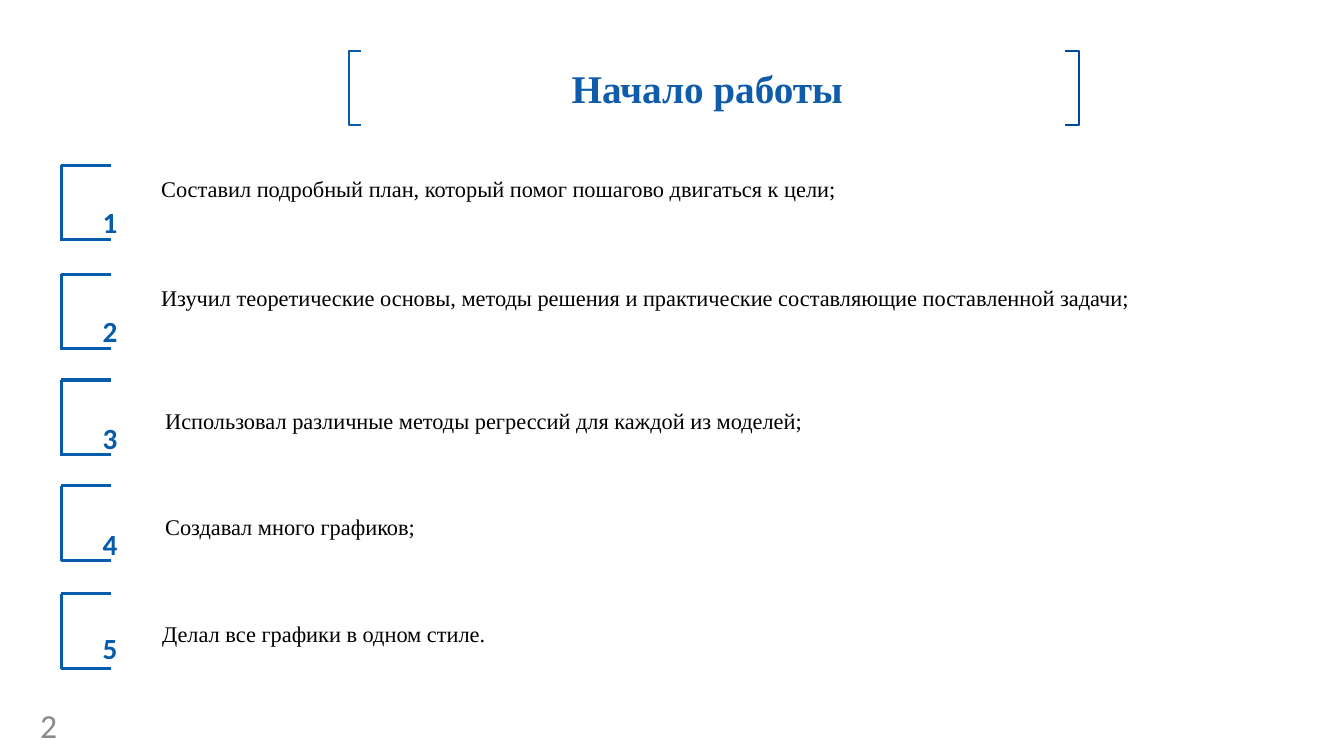
from dataclasses import dataclass

from lxml import etree
from pptx import Presentation
from pptx import util as u
from pptx.dml.color import RGBColor
from pptx.enum import shapes, text
from pptx.oxml import ns

PX = 9144  # EMU in one px, 100 px to the inch


@dataclass(frozen=True)
class Theme:
    serif: str = "Times New Roman"
    sans: str = "Calibri"
    title: str = "0F5CAA"
    blue: str = "065CAB"
    navy: str = "0046A2"
    black: str = "000000"
    grey: str = "898989"
    head: int = 28
    body: int = 16
    digit: int = 36
    page: int = 24
    thin: float = 1.3
    thick: float = 2.25


@dataclass(frozen=True)
class Step:
    top: int
    num_top: int
    left: int
    text_top: int
    width: int
    words: str
    align: text.PP_ALIGN = text.PP_ALIGN.JUSTIFY


THEME = Theme()
LEFT = text.PP_ALIGN.LEFT
STEPS = [
    Step(164, 192, 150, 166, 1029,
         "Составил подробный план, который помог пошагово двигаться к цели;"),
    Step(272, 300, 150, 274, 1053,
         "Изучил теоретические основы, методы решения и практические "
         "составляющие поставленной задачи;"),
    Step(377, 406, 154, 396, 680,
         "Использовал различные методы регрессий для каждой из моделей;"),
    Step(482, 511, 154, 502, 680, "Создавал много графиков;", LEFT),
    Step(589, 614, 151, 608, 680, "Делал все графики в одном стиле.", LEFT),
]


def place(shape, left: int, top: int, width: int, height: int) -> None:
    shape.left, shape.top = left * PX, top * PX
    shape.width, shape.height = width * PX, height * PX


def style(para, face: str, size: int, color: str, bold: bool = False) -> None:
    for run in para.runs:
        run.font.name = face
        run.font.size = u.Pt(size)
        run.font.bold = bold
        run.font.color.rgb = RGBColor.from_string(color)


def add_text(slide, box: tuple[int, int, int, int], words: str, face: str,
             size: int, color: str, bold: bool = False):
    """Add a wrapped text box and return its shape."""
    shape = slide.shapes.add_textbox(*(n * PX for n in box))
    frame = shape.text_frame
    frame.word_wrap = True
    frame.text = words
    style(frame.paragraphs[0], face, size, color, bold)
    return shape


def add_title(slide) -> None:
    title = slide.shapes.title
    place(title, 346, 51, 723, 73)
    frame = title.text_frame
    frame.text = "Начало работы"
    frame.word_wrap = True
    frame.auto_size = text.MSO_AUTO_SIZE.NONE
    frame.vertical_anchor = text.MSO_ANCHOR.MIDDLE
    frame.margin_right = 22 * PX
    para = frame.paragraphs[0]
    para.alignment = text.PP_ALIGN.CENTER
    style(para, THEME.serif, THEME.head, THEME.title, True)


def add_hook(slide, tip: int, spine: int, color: str) -> None:
    """Draw one title bracket, from its tips to its upright side."""
    top, base = 51, 124
    form = slide.shapes.build_freeform(tip, top, scale=PX)
    form.add_line_segments([(spine, top), (spine, base), (tip, base)],
                           close=False)
    hook = form.convert_to_shape()
    hook.shadow.inherit = False
    hook.fill.background()
    hook.line.color.rgb = RGBColor.from_string(color)
    hook.line.width = u.Pt(THEME.thin)


def add_frame(slide, top: int) -> None:
    """Draw the three-sided frame of a step as a group of lines."""
    left, right, base = 61, 110, top + 74
    group = slide.shapes.add_group_shape()
    for ends in ((left, top, left, base + 1),
                 (left, top, right, top),
                 (left, base, right, base)):
        line = group.shapes.add_connector(
            shapes.MSO_CONNECTOR.STRAIGHT, *(n * PX for n in ends))
        line.line.color.rgb = RGBColor.from_string(THEME.blue)
        line.line.width = u.Pt(THEME.thick)
        etree.SubElement(line._element.spPr, ns.qn("a:effectLst"))


def add_step(slide, num: int, step: Step) -> None:
    add_frame(slide, step.top)
    body = add_text(slide, (step.left, step.text_top, step.width, 40),
                    step.words, THEME.serif, THEME.body, THEME.black)
    para = body.text_frame.paragraphs[0]
    para.alignment = step.align
    para.line_spacing = 1.1
    digit = add_text(slide, (92, step.num_top, 118, 50), str(num),
                     THEME.sans, THEME.digit, THEME.blue, True)
    run = digit.text_frame.paragraphs[0].runs[0]
    run._r.get_or_add_rPr().set("baseline", "30000")
    for shape in (body, digit):
        shape.text_frame.auto_size = text.MSO_AUTO_SIZE.SHAPE_TO_FIT_TEXT


def main() -> None:
    deck = Presentation()
    deck.slide_width, deck.slide_height = 1333 * PX, 750 * PX
    slide = deck.slides.add_slide(deck.slide_layouts[5])
    add_title(slide)
    add_hook(slide, 358, 346, THEME.blue)
    add_hook(slide, 1056, 1070, THEME.navy)
    for num, step in enumerate(STEPS, 1):
        add_step(slide, num, step)
    page = add_text(slide, (30, 704, 62, 30), "2",
                    THEME.sans, THEME.page, THEME.grey)
    page.text_frame.vertical_anchor = text.MSO_ANCHOR.MIDDLE
    deck.save("out.pptx")


if __name__ == "__main__":
    main()
